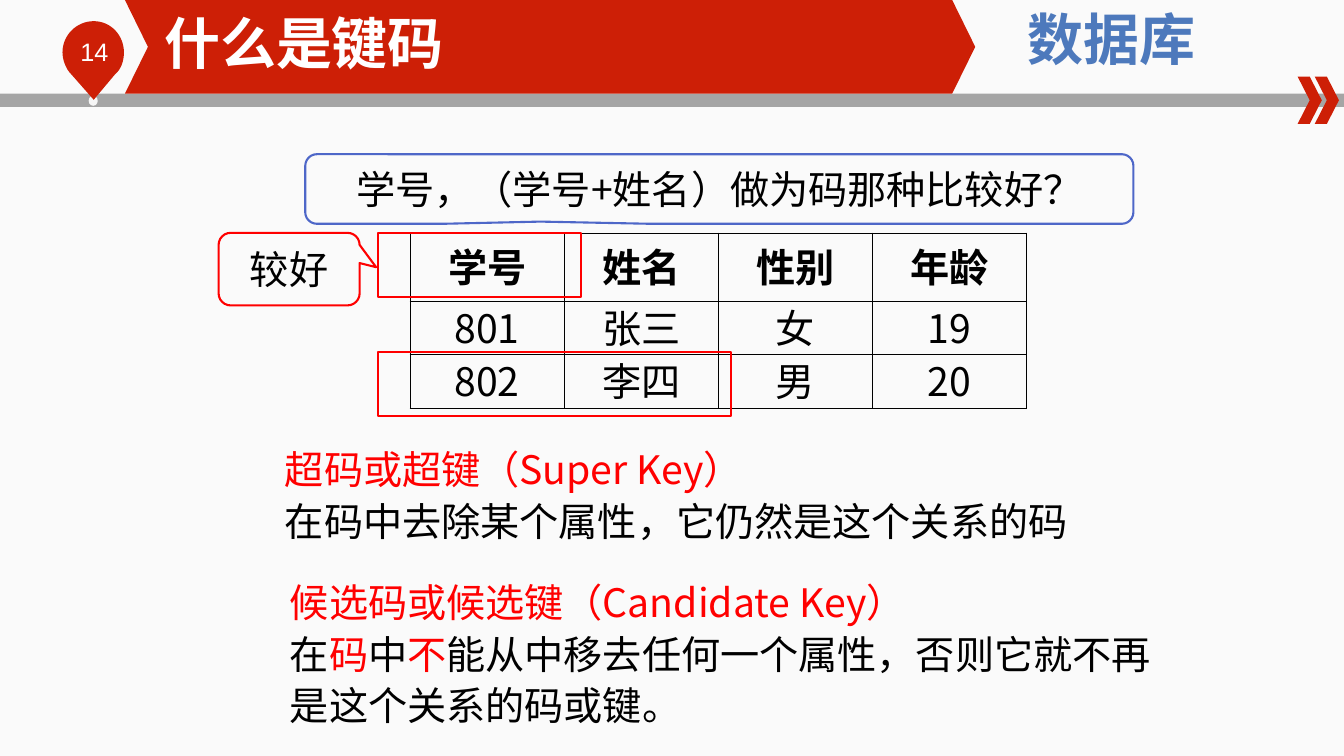
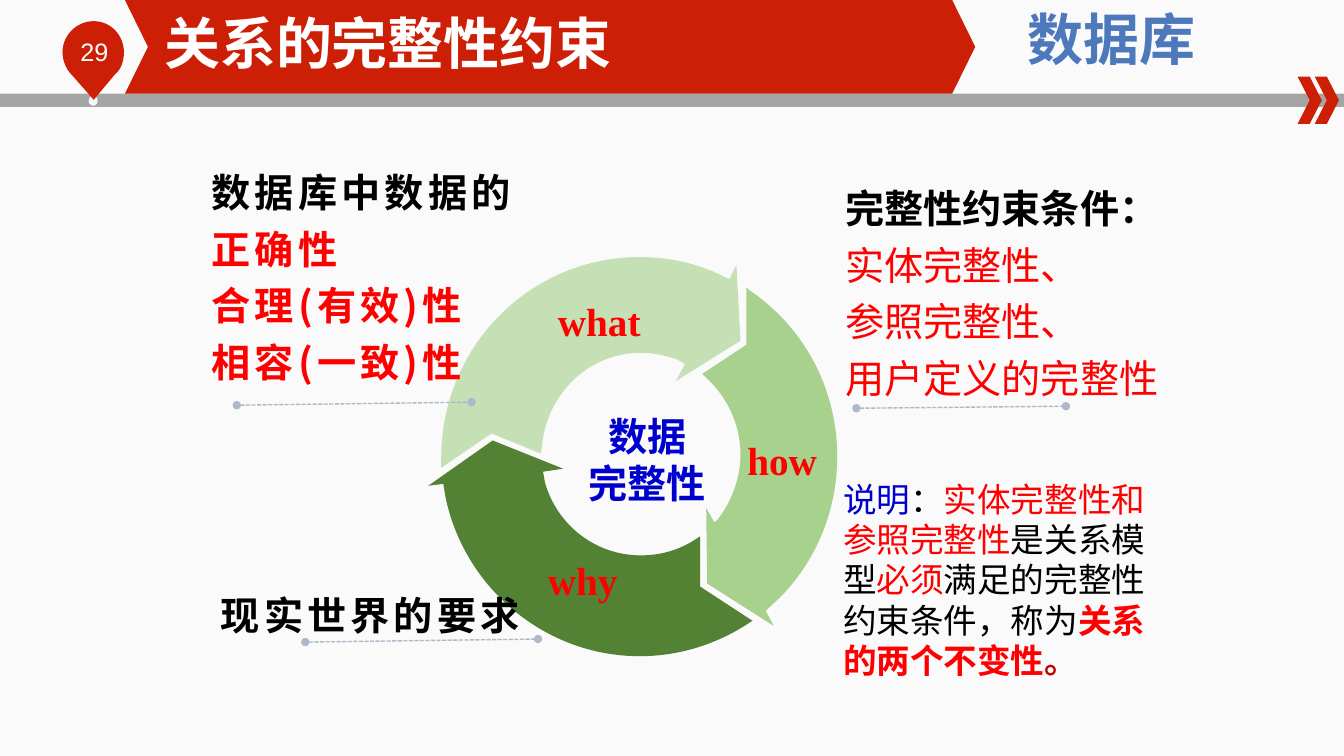
"""Build two database lecture slides: keys, and integrity constraints."""
import dataclasses

import lxml.etree
import pptx
import pptx.dml.color
import pptx.enum.dml
import pptx.enum.shapes
import pptx.enum.text
import pptx.oxml.ns
import pptx.util

Inches = pptx.util.Inches
Shape = pptx.enum.shapes.MSO_SHAPE
Align = pptx.enum.text.PP_ALIGN
Anchor = pptx.enum.text.MSO_ANCHOR
qn = pptx.oxml.ns.qn


@dataclasses.dataclass(frozen=True)
class Theme:
    """Colours, fonts and type sizes of the deck."""
    brand: str = "CD1F06"
    course: str = "4D79BC"
    band: str = "A5A5A5"
    dot: str = "F6F6F6"
    white: str = "FFFFFF"
    ink: str = "000000"
    red: str = "FF0000"
    dark_red: str = "C00000"
    blue: str = "0000CC"
    outline: str = "4E67C8"
    rule: str = "ADB9CA"
    what: str = "C5E0B4"
    how: str = "A9D18E"
    why: str = "548235"
    backdrop: tuple = ("FAFAFA", "FCFCFC")
    sans: str = "Arial"
    cjk: str = "Noto Sans CJK SC"
    serif: str = "Times New Roman"
    title: int = 40
    body: int = 28
    note: int = 24
    page: int = 18


THEME = Theme()
WIDTH, HEIGHT = 13.34, 7.5
INSETS = (0.1, 0.05, 0.1, 0.05)
LABEL_INSETS = (0.07, 0.04, 0.07, 0)

COURSE = "数据库"
PIN = [(0.93, 0.21), (1.1, 0.21, 1.23, 0.35, 1.23, 0.52),
       (1.23, 0.61, 1.2, 0.69, 1.14, 0.74), (0.93, 0.99), (0.71, 0.74),
       (0.7, 0.73, 0.68, 0.71, 0.67, 0.69), (0.64, 0.64, 0.62, 0.58, 0.62, 0.52),
       (0.62, 0.35, 0.76, 0.21, 0.93, 0.21)]

STUDENTS = [("学号", "姓名", "性别", "年龄"),
            ("801", "张三", "女", "19"),
            ("802", "李四", "男", "20")]
ROW_HEIGHTS = (0.68, 0.53, 0.53)
QUESTION = "学号，（学号+姓名）做为码那种比较好？"
ANSWER = "较好"
KEY_MARKS = [(3.75, 2.31, 2.02, 0.64), (3.75, 3.49, 3.51, 0.64)]
DEFINITIONS = [
    ((2.73, 4.32, 8.2, 1.14),
     [[("超码或超键（Super Key）", THEME.red)],
      [("在码中去除某个属性，它仍然是这个关系的码",)]]),
    ((2.78, 5.64, 8.98, 1.66),
     [[("候选码或候选键（Candidate Key）", THEME.red)],
      [("在",), ("码", THEME.red), ("中",), ("不", THEME.red),
       ("能从中移去任何一个属性，否则它就不再是这个关系的码或键。",)]]),
]

CYCLE = [
    (THEME.how,
     [(7.41, 2.85), (7.44, 2.88), (7.97, 3.24, 8.31, 3.84, 8.31, 4.53),
      (8.31, 5.07, 8.1, 5.56, 7.75, 5.92), (7.6, 6.06), (7.68, 6.21), (7.02, 5.79),
      (7.01, 5.04), (7.09, 5.18), (7.12, 5.16), (7.26, 4.98, 7.35, 4.75, 7.35, 4.51),
      (7.35, 4.19, 7.2, 3.91, 6.98, 3.72), (6.97, 3.71), (7.41, 3.42)]),
    (THEME.what,
     [(6.35, 2.55), (6.61, 2.55, 6.85, 2.6, 7.07, 2.69), (7.24, 2.77), (7.31, 2.63),
      (7.35, 3.38), (6.71, 3.78), (6.8, 3.61), (6.73, 3.57),
      (6.62, 3.53, 6.49, 3.5, 6.36, 3.5), (5.85, 3.5, 5.43, 3.9, 5.38, 4.42),
      (5.37, 4.5), (4.88, 4.3), (4.38, 4.64), (4.38, 4.54),
      (4.38, 3.44, 5.26, 2.55, 6.35, 2.55)]),
    (THEME.why,
     [(4.89, 4.37), (5.59, 4.65), (5.39, 4.68), (5.41, 4.79),
      (5.53, 5.21, 5.91, 5.51, 6.36, 5.51), (6.57, 5.51, 6.76, 5.45, 6.92, 5.34),
      (6.95, 5.32), (6.95, 5.82), (7.47, 6.16), (7.45, 6.17),
      (7.14, 6.38, 6.76, 6.51, 6.35, 6.51), (5.4, 6.51, 4.6, 5.82, 4.42, 4.92),
      (4.4, 4.8), (4.25, 4.82)]),
]
CYCLE_LABELS = [("what", (5.44, 2.9, 1.34, 0.57)), ("why", (5.34, 5.47, 1.04, 0.57)),
                ("how", (7.32, 4.28, 1.07, 0.57))]
CORE = [[("数据",)], [("完整性",)]]
RULES = [(2.35, 4.02, 4.68, 3.99), (3.03, 6.37, 5.34, 6.34), (8.5, 4.05, 10.58, 4.03)]
DEMAND = [[("现实世界的要求",)]]
CONDITIONS = [[("完整性约束条件：", THEME.ink, True)], [("实体完整性、", THEME.red)],
              [("参照完整性、", THEME.red)], [("用户定义的完整性", THEME.red)]]
QUALITIES = [[("数据库中数据的",)], [("正确性", THEME.red)],
             [("合理(有效)性", THEME.red)], [("相容(一致)性", THEME.red)]]
REMARK = [[("说明", THEME.blue), ("：",), ("实体完整性和参照完整性", THEME.red),
           ("是关系模型",), ("必须", THEME.red), ("满足的完整性约束条件，称为",),
           ("关系的两个不变性", THEME.red, True), ("。", THEME.dark_red, True)]]


def rgb(code):
    """Return the colour for a hex code."""
    return pptx.dml.color.RGBColor.from_string(code)


def box(bounds):
    """Return bounds in inches as lengths."""
    return [Inches(value) for value in bounds]


def write(frame, paragraphs, size=THEME.body, font=THEME.cjk, color=THEME.ink, bold=False,
          align=Align.LEFT, anchor=Anchor.TOP, insets=INSETS, leading=None, tracking=0,
          indent=0):
    """Fill a text frame with paragraphs of (text, colour, bold) runs."""
    frame.word_wrap = True
    frame.auto_size = pptx.enum.text.MSO_AUTO_SIZE.NONE
    frame.vertical_anchor = anchor
    frame.margin_left, frame.margin_top, frame.margin_right, frame.margin_bottom = box(insets)
    if isinstance(paragraphs, str):
        paragraphs = [[(paragraphs,)]]
    for index, runs in enumerate(paragraphs):
        paragraph = frame.add_paragraph() if index else frame.paragraphs[0]
        paragraph.alignment = align
        if leading:
            paragraph.line_spacing = leading
        if indent:
            paragraph._p.get_or_add_pPr().set("marL", str(Inches(indent)))
        for words, *style in runs:
            run = paragraph.add_run()
            run.text = words
            run.font.size = pptx.util.Pt(size)
            run.font.color.rgb = rgb(style[0] if style else color)
            run.font.bold = style[1] if len(style) > 1 else bold
            run.font.name = font
            properties = run._r.get_or_add_rPr()
            lxml.etree.SubElement(properties, qn("a:ea")).set("typeface", THEME.cjk)
            if tracking:
                properties.set("spc", str(tracking * 100))


def label(slide, bounds, paragraphs, **style):
    """Add a text box."""
    write(slide.shapes.add_textbox(*box(bounds)).text_frame, paragraphs, **style)


def paint(shape, fill=None, line=None):
    """Give a shape a plain fill and outline."""
    shape.shadow.inherit = False
    if fill:
        shape.fill.solid()
        shape.fill.fore_color.rgb = rgb(fill)
    else:
        shape.fill.background()
    if line:
        shape.line.color.rgb = rgb(line)
        shape.line.width = pptx.util.Pt(1.5)
    else:
        shape.line.fill.background()


def preset(slide, kind, bounds, adjustments=(), **colours):
    """Add a preset shape."""
    shape = slide.shapes.add_shape(kind, *box(bounds))
    for index, value in enumerate(adjustments):
        shape.adjustments[index] = value
    paint(shape, **colours)
    return shape


def outline(slide, steps, fill):
    """Add a closed outline; six-number steps are Bezier curves."""
    start, *rest = [box(step[-2:]) for step in steps]
    builder = slide.shapes.build_freeform(*start)
    builder.add_line_segments(rest, close=True)
    shape = builder.convert_to_shape()
    paint(shape, fill)
    for segment, step in zip(list(shape._element.iter(qn("a:lnTo"))), steps[1:]):
        if len(step) == 6:
            curve = lxml.etree.Element(qn("a:cubicBezTo"))
            for x, y in (step[:2], step[2:4], step[4:]):
                lxml.etree.SubElement(curve, qn("a:pt"), x=str(Inches(x) - shape.left),
                                      y=str(Inches(y) - shape.top))
            segment.getparent().replace(segment, curve)


def dotted_rule(slide, ends):
    """Add a dashed line with a dot at each end."""
    rule = slide.shapes.add_connector(pptx.enum.shapes.MSO_CONNECTOR.STRAIGHT, *box(ends))
    rule.line.color.rgb = rgb(THEME.rule)
    rule.line.width = pptx.util.Pt(1)
    rule.line.dash_style = pptx.enum.dml.MSO_LINE.SQUARE_DOT
    for end in ("a:headEnd", "a:tailEnd"):
        lxml.etree.SubElement(rule.line._get_or_add_ln(), qn(end)).set("type", "oval")
    lxml.etree.SubElement(rule._element.spPr, qn("a:effectLst"))


def student_table(slide):
    """Add the student table with thin black borders."""
    bounds = box((4.07, 2.31, 6.12, sum(ROW_HEIGHTS)))
    table = slide.shapes.add_table(len(STUDENTS), len(STUDENTS[0]), *bounds).table
    table.first_row = table.horz_banding = False
    for row, (height, values) in enumerate(zip(ROW_HEIGHTS, STUDENTS)):
        table.rows[row].height = Inches(height)
        for column, value in enumerate(values):
            cell = table.cell(row, column)
            write(cell.text_frame, value, bold=row == 0, align=Align.CENTER,
                  font=THEME.cjk if value.isdigit() else THEME.sans,
                  leading=pptx.util.Pt(32) if row else None)
            cell.vertical_anchor = Anchor.MIDDLE
            cell.margin_left = cell.margin_right = Inches(0.01)
            cell.margin_top = Inches(0.08 if row else 0.01)
            cell.margin_bottom = Inches(0 if row else 0.05)
            properties = cell._tc.get_or_add_tcPr()
            for side in ("a:lnL", "a:lnR", "a:lnT", "a:lnB"):
                border = lxml.etree.SubElement(properties, qn(side), w="6350")
                fill = lxml.etree.SubElement(border, qn("a:solidFill"))
                lxml.etree.SubElement(fill, qn("a:srgbClr"), val=THEME.ink)
            cell.fill.background()


def framed_slide(deck, title, page):
    """Add a slide with the shared header, page pin and title."""
    slide = deck.slides.add_slide(deck.slide_layouts[5])
    preset(slide, Shape.RECTANGLE, (0, 0.93, WIDTH, 0.13), fill=THEME.band)
    preset(slide, Shape.OVAL, (0.88, 0.95, 0.09, 0.1), fill=THEME.dot)
    outline(slide, PIN, THEME.brand)
    label(slide, (0.7, 0.31, 0.76, 0.4), page, size=THEME.page, font=THEME.sans,
          color=THEME.white)
    for left in (12.88, 13.05):
        preset(slide, Shape.CHEVRON, (left, 0.76, 0.24, 0.47), (0.5,), fill=THEME.brand)
    preset(slide, Shape.CHEVRON, (1.24, 0, 8.44, 0.93), (0.246,), fill=THEME.brand)
    label(slide, (9.67, 0, 2.72, 0.77), COURSE, size=THEME.title, color=THEME.course,
          bold=True, align=Align.CENTER)
    heading = slide.shapes.title
    heading.left, heading.top, heading.width, heading.height = box((1.63, 0.08, 6.61, 0.67))
    write(heading.text_frame, title, size=THEME.title, font=THEME.sans, color=THEME.white,
          bold=True, anchor=Anchor.MIDDLE, insets=(0, 0, 0, 0))
    slide.shapes._spTree.append(heading._element)
    return slide


def keys_slide(deck):
    """Build the slide on keys."""
    slide = framed_slide(deck, "什么是键码", "14")
    student_table(slide)
    callouts = [(QUESTION, (3.03, 1.53, 8.22, 0.69), (-0.216, 0.469, 0.167), THEME.outline),
                (ANSWER, (2.17, 2.31, 1.4, 0.72), (0.617, -0.026, 0.167), THEME.red)]
    for words, bounds, adjustments, line in callouts:
        callout = preset(slide, Shape.ROUNDED_RECTANGULAR_CALLOUT, bounds, adjustments,
                         line=line)
        write(callout.text_frame, words, align=Align.CENTER, anchor=Anchor.MIDDLE)
    for bounds in KEY_MARKS:
        preset(slide, Shape.RECTANGLE, bounds, line=THEME.red)
    for bounds, paragraphs in DEFINITIONS:
        label(slide, bounds, paragraphs, leading=pptx.util.Pt(37))


def integrity_slide(deck):
    """Build the slide on integrity constraints."""
    slide = framed_slide(deck, "关系的完整性约束", "29")
    for fill, steps in CYCLE:
        outline(slide, steps, fill)
    for ends in RULES:
        dotted_rule(slide, ends)
    for words, bounds in CYCLE_LABELS:
        label(slide, bounds, words, font=THEME.serif, color=THEME.red, bold=True)
    side = dict(anchor=Anchor.BOTTOM, insets=LABEL_INSETS, leading=1.2)
    label(slide, (1.89, 5.81, 3.34, 0.52), DEMAND, bold=True, tracking=3,
          align=Align.RIGHT, **side)
    label(slide, (8.32, 1.71, 3.31, 2.27), CONDITIONS, **side)
    label(slide, (2.03, 1.72, 3.21, 2.1), QUALITIES, bold=True, tracking=3, **side)
    label(slide, (5.74, 4.04, 1.37, 1.04), CORE, font=THEME.sans, color=THEME.blue,
          bold=True, align=Align.CENTER)
    label(slide, (8.12, 4.7, 3.37, 2.12), REMARK, size=THEME.note, indent=0.15)


def main():
    """Build and save the deck."""
    deck = pptx.Presentation()
    deck.slide_width, deck.slide_height = Inches(WIDTH), Inches(HEIGHT)
    backdrop = deck.slide_master.background.fill
    backdrop.gradient()
    backdrop.gradient_angle = 270
    for stop, code in zip(backdrop.gradient_stops, THEME.backdrop):
        stop.color.rgb = rgb(code)
    keys_slide(deck)
    integrity_slide(deck)
    deck.save("out.pptx")


if __name__ == "__main__":
    main()
